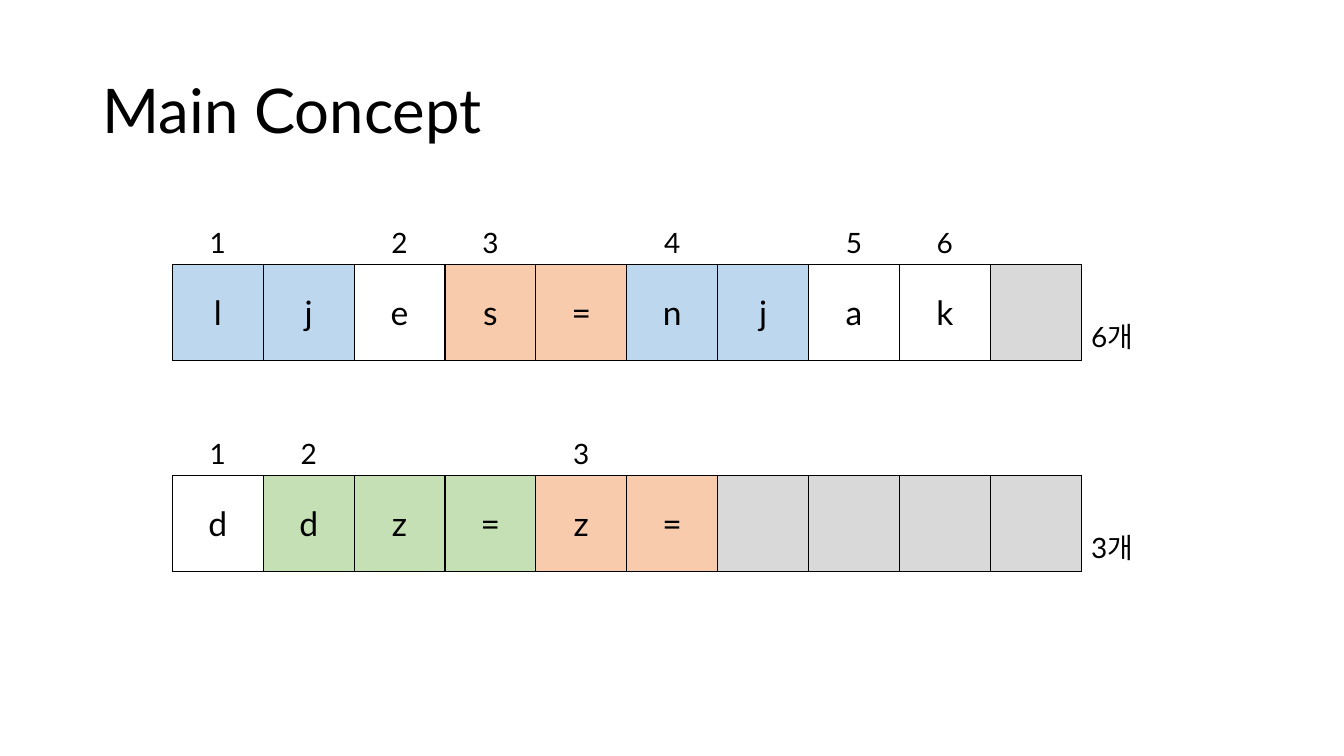
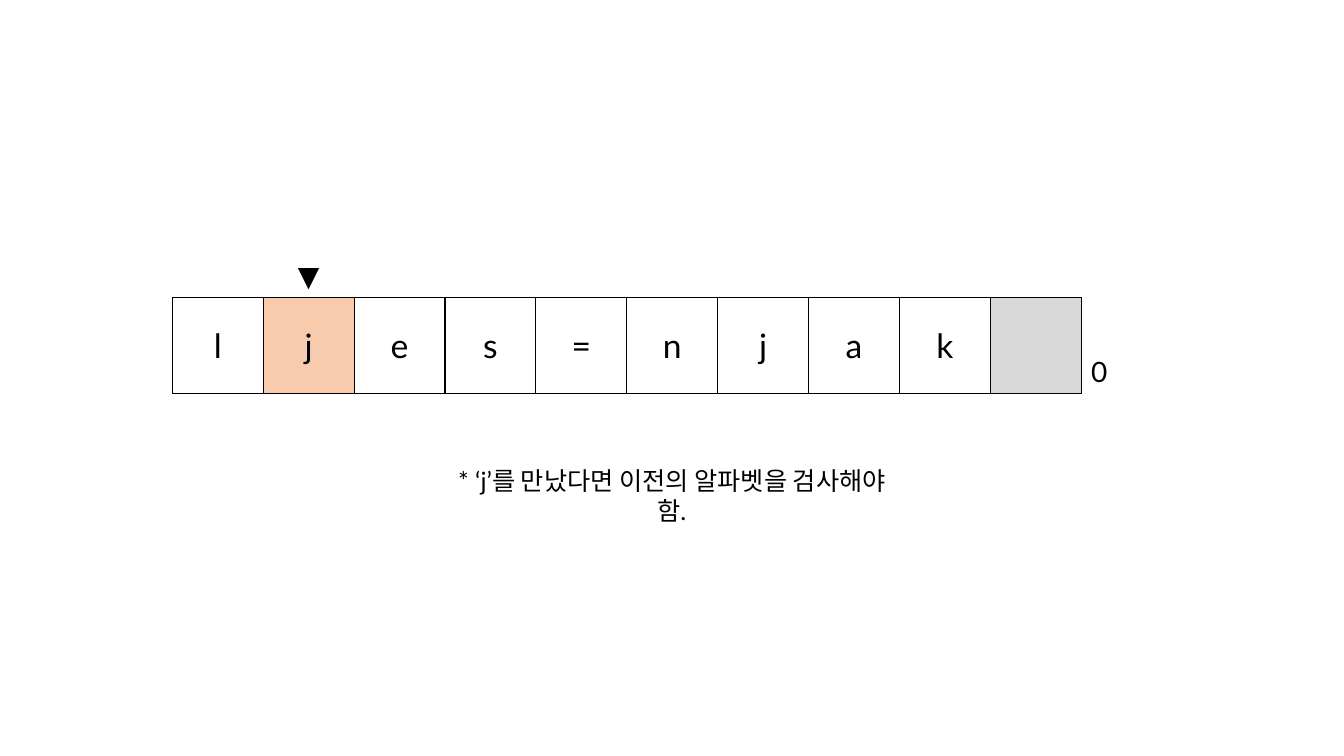
"""Build two slides that count alphabet groups in rows of letter cells."""
import pptx
import pptx.dml.color
import pptx.enum.text
import pptx.oxml
import pptx.oxml.ns
import pptx.util

Pt = pptx.util.Pt
RGBColor = pptx.dml.color.RGBColor
ANCHOR = pptx.enum.text.MSO_ANCHOR
ALIGN = pptx.enum.text.PP_ALIGN

BLACK = RGBColor(0x00, 0x00, 0x00)
BLUE = RGBColor(0xBD, 0xD7, 0xEE)
ORANGE = RGBColor(0xF8, 0xCB, 0xAD)
GREEN = RGBColor(0xC5, 0xE0, 0xB4)
GREY = RGBColor(0xD9, 0xD9, 0xD9)
FONT = "Lato"

SLOTS = 10
ROW_LEFT = 123.1
SLOT_WIDTH = 64.93
MARK_HEIGHT = 29.5
LETTER_HEIGHT = 68.4
PLAIN_STYLE = "{2D5ABB26-0587-4C30-8999-92F81FD0307C}"


def write(frame, text, size, align):
    frame.text = text
    paragraph = frame.paragraphs[0]
    paragraph.alignment = align
    paragraph.font.name = FONT
    paragraph.font.size = Pt(size)
    paragraph.font.color.rgb = BLACK
    return paragraph


def add_border(cell, side):
    properties = cell._tc.get_or_add_tcPr()
    properties.append(pptx.oxml.parse_xml(
        f'<a:ln{side} {pptx.oxml.ns.nsdecls("a")} w="{Pt(1)}">'
        f'<a:solidFill><a:srgbClr val="{BLACK}"/></a:solidFill></a:ln{side}>'))


def fill_cell(cell, text, size, borders, anchor, color=None, align=ALIGN.CENTER):
    for side in borders:
        add_border(cell, side)
    if color is None:
        cell.fill.background()
    else:
        cell.fill.solid()
        cell.fill.fore_color.rgb = color
    cell.vertical_anchor = anchor
    write(cell.text_frame, text, size, align)


def number_groups(groups):
    marks, start = {}, 0
    for number, (letters, _) in enumerate(groups, 1):
        marks[start] = str(number)
        start += len(letters)
    return marks


def add_letter_row(slide, top, groups, marks, count):
    table = slide.shapes.add_table(
        2, SLOTS + 1, Pt(ROW_LEFT), Pt(top), Pt(SLOT_WIDTH * (SLOTS + 1)),
        Pt(MARK_HEIGHT + LETTER_HEIGHT)).table
    table.first_row = table.horz_banding = False
    table._tbl.tblPr.find(pptx.oxml.ns.qn("a:tableStyleId")).text = PLAIN_STYLE
    for column in table.columns:
        column.width = Pt(SLOT_WIDTH)
    table.rows[0].height = Pt(MARK_HEIGHT)
    table.rows[1].height = Pt(LETTER_HEIGHT)

    slots = [(letter, color) for letters, color in groups for letter in letters]
    slots += [("", GREY)] * (SLOTS - len(slots))
    for index, (letter, color) in enumerate(slots):
        fill_cell(table.cell(0, index), marks.get(index, ""), 20, "B", ANCHOR.BOTTOM)
        fill_cell(table.cell(1, index), letter, 24, "LRTB", ANCHOR.MIDDLE, color)
    fill_cell(table.cell(0, SLOTS), "", 20, "", ANCHOR.BOTTOM)
    fill_cell(table.cell(1, SLOTS), count, 20, "L", ANCHOR.BOTTOM, align=ALIGN.LEFT)


def add_title(slide, text):
    title = slide.shapes.title
    title.left, title.top, title.width, title.height = Pt(66), Pt(28.8), Pt(828), Pt(104.4)
    title.text_frame.vertical_anchor = ANCHOR.MIDDLE
    write(title.text_frame, text, 44, ALIGN.LEFT).line_spacing = 0.9


def add_note(slide, text):
    note = slide.shapes.add_textbox(Pt(313.2), Pt(329), Pt(333.4), Pt(28.8))
    note.text_frame.word_wrap = True
    write(note.text_frame, text, 18, ALIGN.CENTER)


def main():
    deck = pptx.Presentation()
    deck.slide_width, deck.slide_height = Pt(960), Pt(540)

    concept = deck.slides.add_slide(deck.slide_layouts[5])
    add_title(concept, "Main Concept")
    examples = [
        (157.7, [("lj", BLUE), ("e", None), ("s=", ORANGE),
                 ("nj", BLUE), ("a", None), ("k", None)]),
        (308.2, [("d", None), ("dz=", GREEN), ("z=", ORANGE)]),
    ]
    for top, groups in examples:
        add_letter_row(concept, top, groups, number_groups(groups), f"{len(groups)}개")

    check = deck.slides.add_slide(deck.slide_layouts[6])
    groups = [("l", None), ("j", ORANGE), ("es=njak", None)]
    add_letter_row(check, 181.4, groups, {1: "▼"}, "0")
    add_note(check, "* ‘j’를 만났다면 이전의 알파벳을 검사해야 함.")

    deck.save("out.pptx")


if __name__ == "__main__":
    main()
